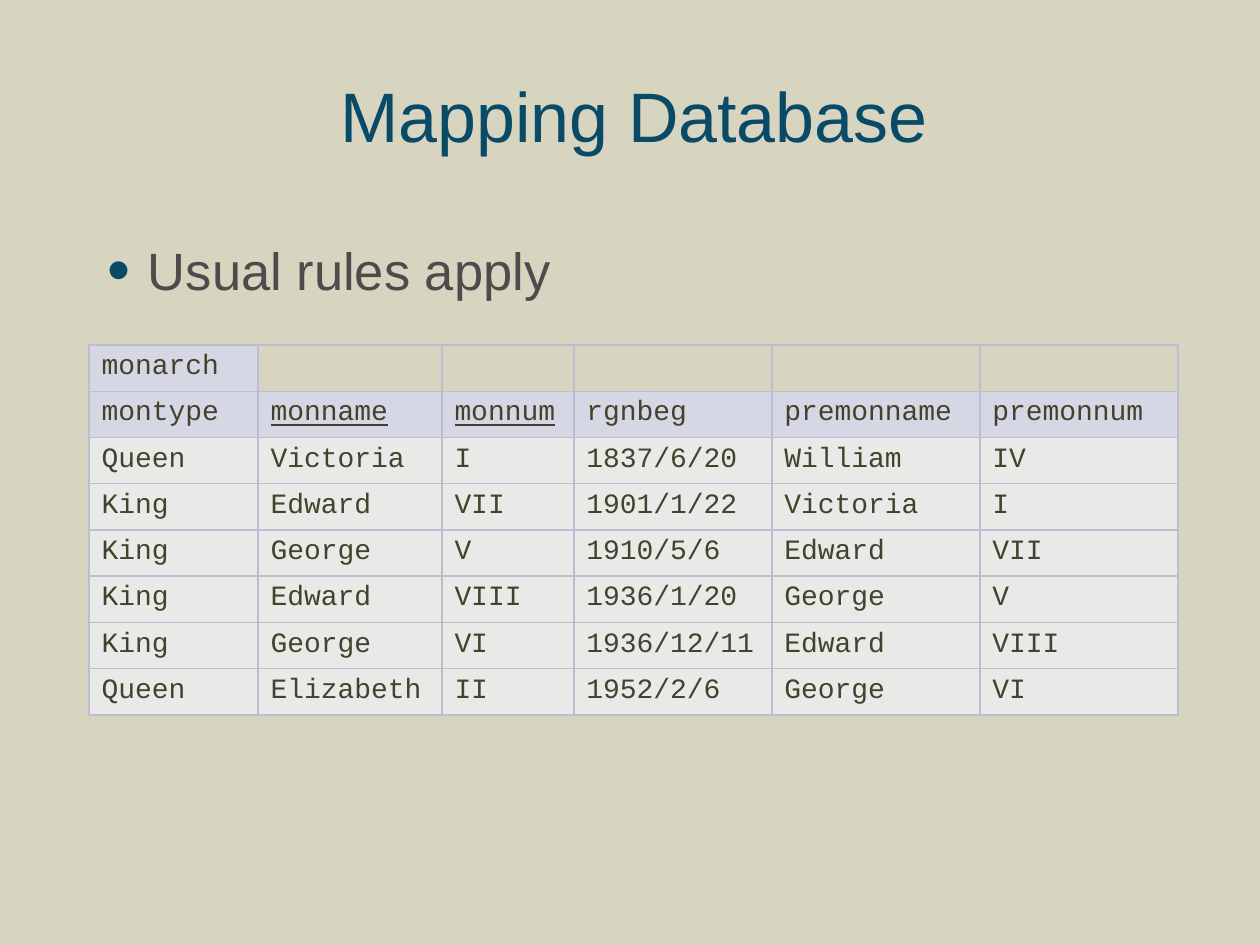
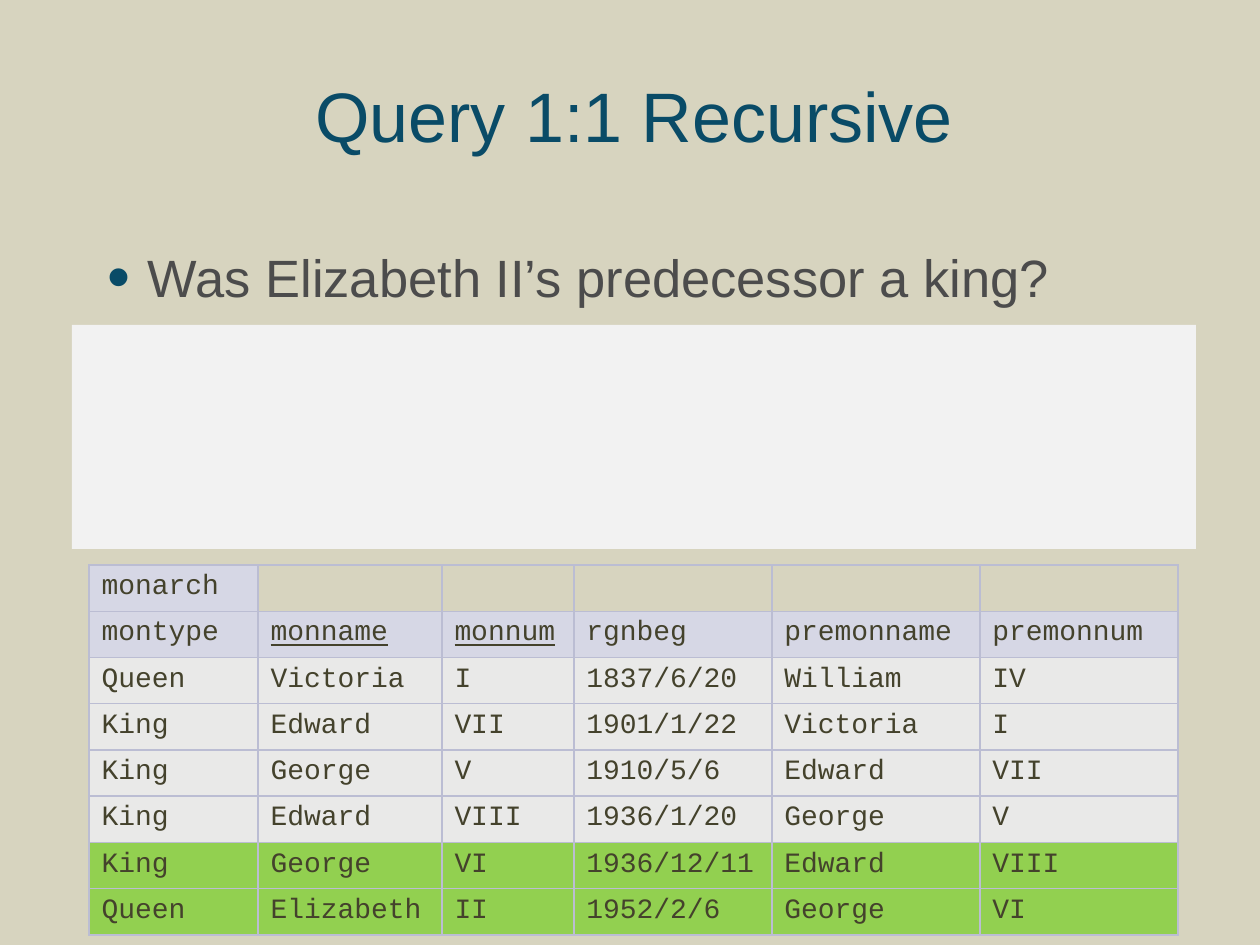
from dataclasses import dataclass

from lxml import etree
from pptx import Presentation
from pptx import util as u
from pptx.dml import color
from pptx.enum import shapes, text
from pptx.oxml import ns

PX = u.Inches(1) / 126

# Shared colours and fonts
PAPER, NAVY, GREY, INK = "D7D4BF", "094B67", "4C4C4C", "44422C"
HEAD, ROW, MARK, RULE, PANEL = "D6D7E5", "E9E9E8", "92D050", "BBBDD3", "F2F2F2"
SANS, MONO = "Arial", "Courier New"

# Monarch table, shown on both slides
COLS = [169, 184, 132, 198, 208, 198]
KEYS = {"monname", "monnum"}
ROWS = [
    ["monarch", "", "", "", "", ""],
    ["montype", "monname", "monnum", "rgnbeg", "premonname", "premonnum"],
    ["Queen", "Victoria", "I", "1837/6/20", "William", "IV"],
    ["King", "Edward", "VII", "1901/1/22", "Victoria", "I"],
    ["King", "George", "V", "1910/5/6", "Edward", "VII"],
    ["King", "Edward", "VIII", "1936/1/20", "George", "V"],
    ["King", "George", "VI", "1936/12/11", "Edward", "VIII"],
    ["Queen", "Elizabeth", "II", "1952/2/6", "George", "VI"],
]


@dataclass
class Box:
    left: int
    top: int
    width: int
    height: int

    def emu(self) -> list[int]:
        return [px(n) for n in (self.left, self.top, self.width, self.height)]


@dataclass
class Page:
    title: str
    point: str
    top: int
    pitch: int
    space: float = 1.0
    marked: tuple = ()
    panel: Box | None = None


TITLE = Box(76, 39, 1116, 152)
BODY = Box(76, 233, 1116, 625)
PAGES = [
    Page("Mapping Database", "Usual rules apply", 345, 44, space=0.9),
    Page("Query 1:1 Recursive", "Was Elizabeth II’s predecessor a king?", 565, 46,
         marked=(6, 7), panel=Box(72, 325, 1124, 224)),
]


def px(n: float) -> int:
    return round(n * PX)


def rgb(code: str) -> color.RGBColor:
    return color.RGBColor.from_string(code)


def style(para, size: int, face: str, code: str) -> None:
    for run in para.runs:
        run.font.size = u.Pt(size)
        run.font.name = face
        run.font.color.rgb = rgb(code)


def inset(frame, side: int, top: int) -> None:
    frame.word_wrap = True
    frame.margin_left = frame.margin_right = px(side)
    frame.margin_top = frame.margin_bottom = px(top)


def add_title(slide, words: str) -> None:
    shape = slide.shapes.title
    shape.left, shape.top, shape.width, shape.height = TITLE.emu()
    frame = shape.text_frame
    frame.text = words
    frame.vertical_anchor = text.MSO_ANCHOR.MIDDLE
    inset(frame, 8, 8)
    para = frame.paragraphs[0]
    para.alignment = text.PP_ALIGN.CENTER
    style(para, 40, SANS, NAVY)


def add_point(slide, words: str, space: float) -> None:
    frame = slide.shapes.add_textbox(*BODY.emu()).text_frame
    frame.text = words
    inset(frame, 8, 12)
    para = frame.paragraphs[0]
    para.line_spacing = space
    # Hanging round bullet
    props = para._p.get_or_add_pPr()
    props.set("marL", str(px(64)))
    props.set("indent", str(px(-40)))
    tint = etree.SubElement(props, ns.qn("a:buClr"))
    etree.SubElement(tint, ns.qn("a:srgbClr"), val=NAVY)
    etree.SubElement(props, ns.qn("a:buSzPct"), val="125000")
    etree.SubElement(props, ns.qn("a:buFont"), typeface=SANS)
    etree.SubElement(props, ns.qn("a:buChar"), char="•")
    style(para, 30, SANS, GREY)


def add_panel(slide, box: Box) -> None:
    shape = slide.shapes.add_shape(shapes.MSO_SHAPE.RECTANGLE, *box.emu())
    shape.shadow.inherit = False
    shape.fill.solid()
    shape.fill.fore_color.rgb = rgb(PANEL)
    shape.line.fill.background()


def add_rules(cell) -> None:
    props = cell._tc.get_or_add_tcPr()
    for side in "LRTB":
        line = etree.SubElement(props, ns.qn(f"a:ln{side}"), w=str(u.Pt(1)))
        fill = etree.SubElement(line, ns.qn("a:solidFill"))
        etree.SubElement(fill, ns.qn("a:srgbClr"), val=RULE)


def fill_cell(cell, word: str, code: str) -> None:
    add_rules(cell)
    para = cell.text_frame.paragraphs[0]
    if not word:
        cell.fill.background()
        # Small end mark keeps an empty cell from stretching its row
        etree.SubElement(para._p, ns.qn("a:endParaRPr"), sz="1200")
        return
    cell.fill.solid()
    cell.fill.fore_color.rgb = rgb(code)
    para.text = word
    para.alignment = text.PP_ALIGN.JUSTIFY
    style(para, 16, MONO, INK)
    if word in KEYS:
        para.runs[0].font.underline = True


def add_grid(slide, page: Page) -> None:
    box = Box(89, page.top, sum(COLS), page.pitch * len(ROWS))
    grid = slide.shapes.add_table(len(ROWS), len(COLS), *box.emu()).table
    grid.first_row = grid.horz_banding = False
    for col, width in zip(grid.columns, COLS):
        col.width = px(width)
    for r, words in enumerate(ROWS):
        grid.rows[r].height = px(page.pitch)
        code = HEAD if r < 2 else MARK if r in page.marked else ROW
        for c, word in enumerate(words):
            fill_cell(grid.cell(r, c), word, code)


def main() -> None:
    deck = Presentation()
    deck.slide_width, deck.slide_height = px(1260), px(945)
    back = deck.slide_master.background.fill
    back.solid()
    back.fore_color.rgb = rgb(PAPER)
    for page in PAGES:
        slide = deck.slides.add_slide(deck.slide_layouts.get_by_name("Title Only"))
        add_title(slide, page.title)
        add_point(slide, page.point, page.space)
        if page.panel:
            add_panel(slide, page.panel)
        add_grid(slide, page)
    deck.save("out.pptx")


if __name__ == "__main__":
    main()
